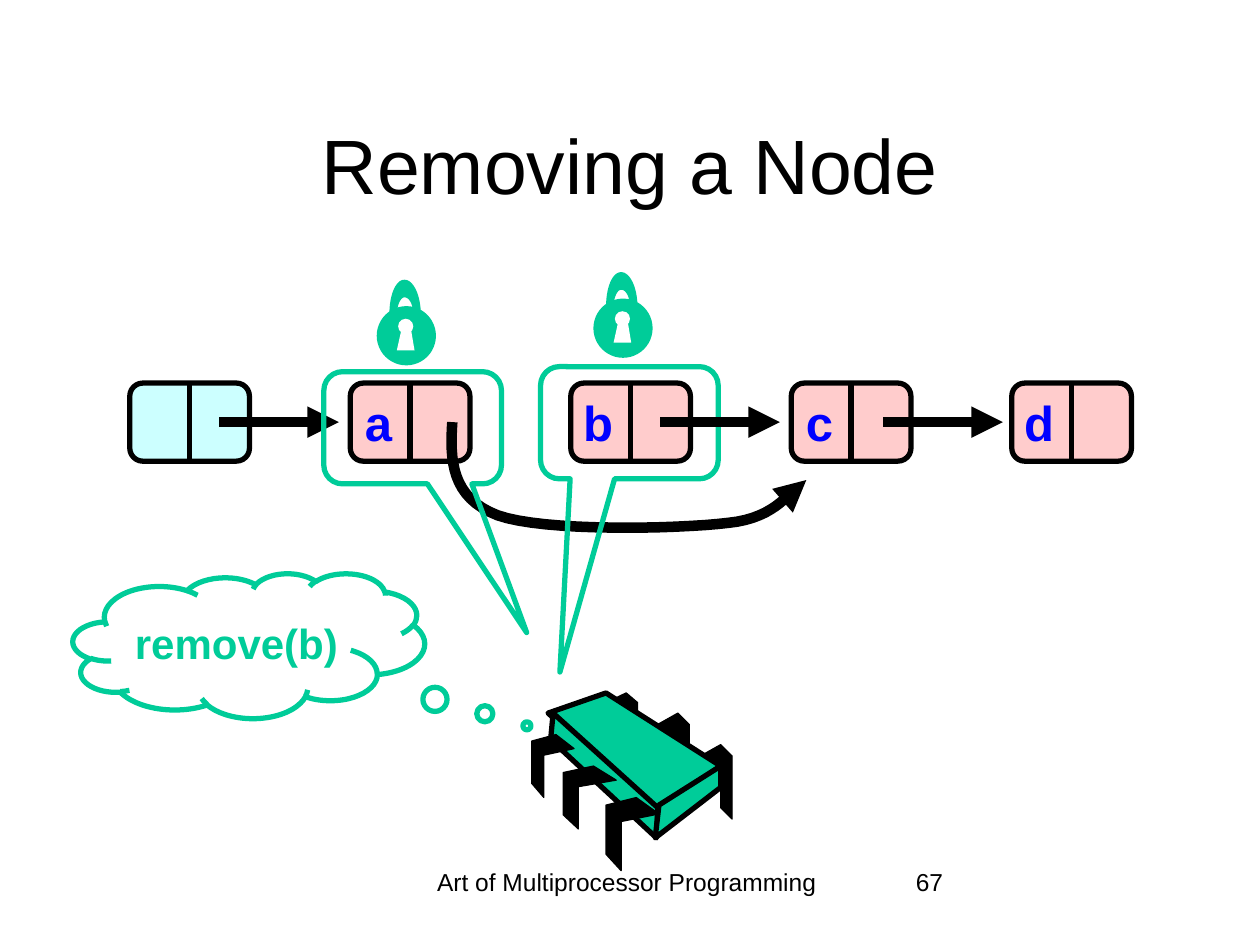
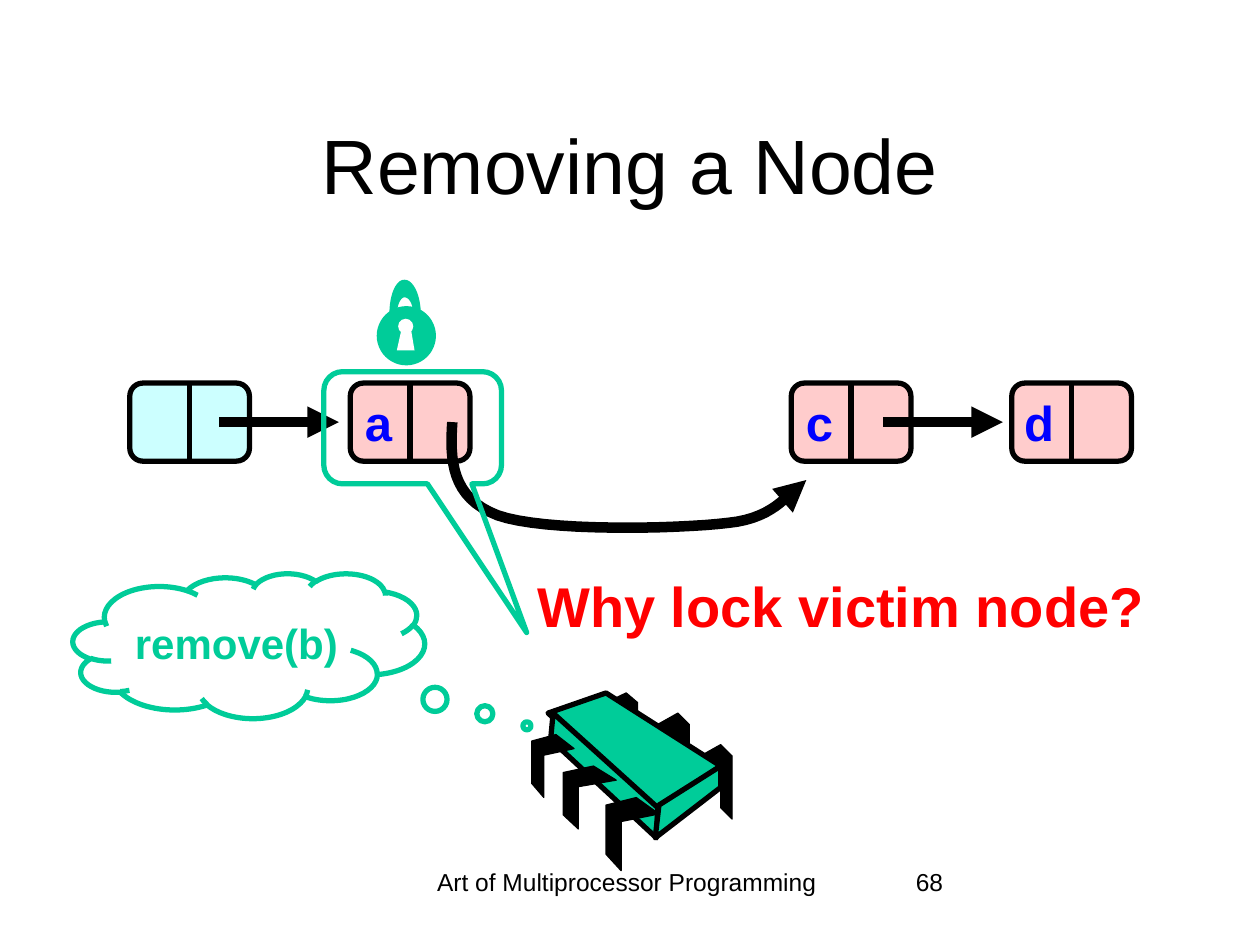
"""Build two slides on removing a node from a lock-coupled linked list."""
import dataclasses
import typing

import lxml.etree
import pptx
import pptx.dml.color
import pptx.enum.shapes
import pptx.enum.text
import pptx.oxml.ns
import pptx.shapes.autoshape
import pptx.shapes.connector
import pptx.shapes.shapetree
import pptx.slide
import pptx.util

Inches = pptx.util.Inches
Preset = pptx.enum.shapes.MSO_SHAPE
Align = pptx.enum.text.PP_ALIGN
Anchor = pptx.enum.text.MSO_ANCHOR
AutoSize = pptx.enum.text.MSO_AUTO_SIZE
Point = tuple[float, float]
Shapes = pptx.shapes.shapetree.SlideShapes | pptx.shapes.shapetree.GroupShapes
Outlined = pptx.shapes.autoshape.Shape | pptx.shapes.connector.Connector

BLACK, WHITE, GREEN = "000000", "FFFFFF", "00CC99"
CYAN, PINK, BLUE, RED = "CCFFFF", "FFCCCC", "0000FF", "FF0000"
FONT = "Arial"
TITLE = "Removing a Node"
FOOTER = "Art of Multiprocessor Programming"

NODE_LEFT, NODE_STEP, NODE_TOP = 1.03, 1.75, 3.04
NODE_WIDTH, NODE_HEIGHT = 0.95, 0.62
ARROW_Y, ARROW_LENGTH = 3.35, 0.95
CORNER = 0.167

BYPASS = [(3.59, 3.35), (3.57, 3.65), (3.58, 3.95), (3.95, 4.09), (4.31, 4.22),
          (5.37, 4.2), (5.78, 4.15), (6.18, 4.11), (6.27, 3.88), (6.4, 3.81)]

KEYHOLE = [(0.16, 0.35), (0.2, 0.17), (0.27, 0.17), (0.3, 0.35)]
SHACKLE_INSIDE = [(0.16, 0.07), (0.16, -0.01), (0.19, -0.07), (0.22, -0.07),
                  (0.26, -0.07), (0.29, -0.01), (0.29, 0.07)]
SHACKLE_OUTSIDE = [(0.35, 0.07), (0.35, -0.09), (0.29, -0.21), (0.22, -0.21),
                   (0.15, -0.21), (0.1, -0.09), (0.1, 0.07)]

BACK_LEG = [(0, 0.09), (0.16, 0), (0.25, 0.09), (0.25, 0.59),
            (0.16, 0.5), (0.16, 0.17), (0, 0.25)]
FRONT_LEG = [(0.24, 0), (0.42, 0.13), (0.12, 0.19), (0.12, 0.58), (0, 0.45), (0, 0.06)]
CHIP_FACES = [
    [(4.81, 5.5), (5.72, 6.08), (5.21, 6.43), (4.35, 5.66)],
    [(4.39, 5.66), (5.22, 6.41), (5.21, 6.65), (4.37, 5.87)],
    [(5.72, 6.08), (5.72, 6.25), (5.2, 6.65), (5.23, 6.39)],
]


@dataclasses.dataclass(frozen=True)
class Box:
    """Position and size in inches."""
    left: float
    top: float
    width: float
    height: float

    def lengths(self) -> list[pptx.util.Length]:
        """Return the four values as lengths."""
        return [Inches(value) for value in dataclasses.astuple(self)]


@dataclasses.dataclass(frozen=True)
class Node:
    """A list node in a numbered column, with the start of its next arrow."""
    column: int
    label: str = ""
    fill: str = PINK
    arrow_start: float | None = None

    @property
    def left(self) -> float:
        """Return the left edge of the column."""
        return NODE_LEFT + NODE_STEP * self.column


@dataclasses.dataclass(frozen=True)
class Lock:
    """A padlock and the callout that ties it to its holder."""
    callout: Box
    tail: Point
    left: float
    top: float


@dataclasses.dataclass(frozen=True)
class Leg:
    """A chip leg drawn from a scaled outline."""
    outline: list[Point]
    left: float
    top: float
    scale: Point = (1, 1)


@dataclasses.dataclass(frozen=True)
class Scene:
    """What differs from one slide to the next."""
    number: str
    nodes: list[Node]
    locks: list[Lock]
    question: str = ""


HEAD = Node(0, fill=CYAN, arrow_start=1.74)
NODE_A = Node(1, "a")
NODE_B = Node(2, "b", arrow_start=5.24)
NODE_C = Node(3, "c", arrow_start=7.01)
NODE_D = Node(4, "d")
LOCK_A = Lock(Box(2.57, 2.95, 1.41, 0.89), (0.642, 1.826), 2.99, 2.43)
LOCK_B = Lock(Box(4.29, 2.91, 1.41, 0.89), (-0.391, 2.223), 4.71, 2.37)
BACK_LEGS = [Leg(BACK_LEG, 5.56, 5.91), Leg(BACK_LEG, 5.22, 5.66),
             Leg(BACK_LEG, 4.81, 5.5, (1, 0.85))]
FRONT_LEGS = [Leg(FRONT_LEG, 4.81, 6.33), Leg(FRONT_LEG, 4.47, 6.08, (1, 0.86)),
              Leg(FRONT_LEG, 4.22, 5.83, (0.8, 0.86))]
SCENES = [
    Scene("67", [HEAD, NODE_A, NODE_B, NODE_C, NODE_D], [LOCK_B, LOCK_A]),
    Scene("68", [HEAD, NODE_A, NODE_C, NODE_D], [LOCK_A], "Why lock victim node?"),
]


def color(value: str) -> pptx.dml.color.RGBColor:
    """Turn a hex string into a colour."""
    return pptx.dml.color.RGBColor.from_string(value)


def apply_format(target: typing.Any, values: dict[str, typing.Any]) -> None:
    """Set each named attribute on the target."""
    for name, value in values.items():
        setattr(target, name, value)


def set_line(shape: Outlined, line_color: str, width: float, arrow: bool = False) -> None:
    """Outline a shape, with an arrowhead at its end if asked."""
    shape.line.color.rgb = color(line_color)
    shape.line.width = pptx.util.Pt(width)
    if arrow:
        line = shape.element.spPr.find(pptx.oxml.ns.qn("a:ln"))
        lxml.etree.SubElement(line, pptx.oxml.ns.qn("a:tailEnd"), type="triangle")


def paint(shape: pptx.shapes.autoshape.Shape, fill: str | None,
          line_color: str | None = None, width: float = 3, arrow: bool = False) -> None:
    """Give a shape its fill and line and take away its shadow."""
    shape.shadow.inherit = False
    if fill:
        shape.fill.solid()
        shape.fill.fore_color.rgb = color(fill)
    else:
        shape.fill.background()
    if line_color:
        set_line(shape, line_color, width, arrow)
    else:
        shape.line.fill.background()


def write(shape: pptx.shapes.autoshape.Shape, text: str, size: float, text_color: str = BLACK,
          align: Align = Align.CENTER, bold: bool = False, **frame_format: typing.Any) -> None:
    """Write one formatted paragraph into a shape."""
    apply_format(shape.text_frame, {"word_wrap": True, **frame_format})
    paragraph = shape.text_frame.paragraphs[0]
    paragraph.alignment = align
    run = paragraph.add_run()
    run.text = text
    apply_format(run.font, {"name": FONT, "size": pptx.util.Pt(size), "bold": bold})
    run.font.color.rgb = color(text_color)


def add_preset(shapes: Shapes, preset: Preset, box: Box, fill: str | None,
               line_color: str | None = None,
               adjustments: tuple[float, ...] = ()) -> pptx.shapes.autoshape.Shape:
    """Add a painted preset shape."""
    shape = shapes.add_shape(preset, *box.lengths())
    for index, value in enumerate(adjustments):
        shape.adjustments[index] = value
    paint(shape, fill, line_color)
    return shape


def add_outline(shapes: Shapes, points: list[Point],
                closed: bool = True) -> pptx.shapes.autoshape.Shape:
    """Add a freeform through points given in inches."""
    start, *rest = [(Inches(x), Inches(y)) for x, y in points]
    builder = shapes.build_freeform(*start)
    builder.add_line_segments(rest, close=closed)
    return builder.convert_to_shape()


def add_line(shapes: Shapes, start: Point, end: Point, width: float,
             arrow: bool = False) -> pptx.shapes.connector.Connector:
    """Add a straight black connector without a shadow."""
    ends = [Inches(value) for value in (*start, *end)]
    connector = shapes.add_connector(pptx.enum.shapes.MSO_CONNECTOR.STRAIGHT, *ends)
    set_line(connector, BLACK, width, arrow)
    lxml.etree.SubElement(connector.element.spPr, pptx.oxml.ns.qn("a:effectLst"))
    return connector


def trace_curve(controls: list[Point], steps: int = 16) -> list[Point]:
    """Sample a chain of cubic curves that share their end points."""
    points = [controls[0]]
    for first in range(0, len(controls) - 1, 3):
        section = controls[first:first + 4]
        for step in range(1, steps + 1):
            t = step / steps
            weights = ((1 - t) ** 3, 3 * t * (1 - t) ** 2, 3 * t ** 2 * (1 - t), t ** 3)
            x, y = (sum(w * point[axis] for w, point in zip(weights, section))
                    for axis in (0, 1))
            points.append((x, y))
    return points


def place(points: list[Point], left: float, top: float, scale: Point = (1, 1)) -> list[Point]:
    """Scale an outline and move it to its place."""
    return [(left + x * scale[0], top + y * scale[1]) for x, y in points]


def draw_node(slide: pptx.slide.Slide, node: Node) -> None:
    """Draw a two-field node with its label."""
    shapes = slide.shapes.add_group_shape().shapes
    body = add_preset(shapes, Preset.ROUNDED_RECTANGLE,
                      Box(node.left, NODE_TOP, NODE_WIDTH, NODE_HEIGHT), node.fill, BLACK, (CORNER,))
    middle = node.left + NODE_WIDTH / 2
    divider = add_line(shapes, (middle, NODE_TOP), (middle, NODE_TOP + NODE_HEIGHT), 3)
    divider.begin_connect(body, 0)
    divider.end_connect(body, 2)
    if node.label:
        label = shapes.add_textbox(*Box(node.left, 3.07, 0.43, 0.57).lengths())
        write(label, node.label, 28, BLUE, Align.RIGHT, True,
              word_wrap=False, auto_size=AutoSize.SHAPE_TO_FIT_TEXT)


def draw_next_arrow(slide: pptx.slide.Slide, node: Node) -> None:
    """Draw the arrow to the next node, if the node has one."""
    if node.arrow_start is not None:
        add_line(slide.shapes, (node.arrow_start, ARROW_Y),
                 (node.arrow_start + ARROW_LENGTH, ARROW_Y), 6, arrow=True)


def draw_chip(slide: pptx.slide.Slide) -> None:
    """Draw the processor chip between its back and front legs."""
    shapes = slide.shapes.add_group_shape().shapes

    def draw_legs(legs: list[Leg]) -> None:
        """Draw a row of legs."""
        for leg in legs:
            outline = place(leg.outline, leg.left, leg.top, leg.scale)
            paint(add_outline(shapes, outline), BLACK, BLACK, 0.75)

    draw_legs(BACK_LEGS)
    for face in CHIP_FACES:
        paint(add_outline(shapes, face), GREEN, BLACK)
    draw_legs(FRONT_LEGS)


def draw_padlock(slide: pptx.slide.Slide, lock: Lock) -> None:
    """Draw a padlock with its keyhole and shackle."""
    shapes = slide.shapes.add_group_shape().shapes
    add_preset(shapes, Preset.OVAL, Box(lock.left, lock.top, 0.47, 0.47), GREEN)
    add_preset(shapes, Preset.OVAL, Box(lock.left + 0.17, lock.top + 0.1, 0.12, 0.12), WHITE)
    shackle = trace_curve(SHACKLE_INSIDE) + trace_curve(SHACKLE_OUTSIDE)
    for outline, fill in ((KEYHOLE, WHITE), (shackle, GREEN)):
        paint(add_outline(shapes, place(outline, lock.left, lock.top)), fill)


def draw_frame(slide: pptx.slide.Slide, number: str) -> None:
    """Write the footer, the slide number and the title."""
    shapes = slide.shapes
    write(shapes.add_textbox(*Box(3.1, 6.83, 3.75, 0.5).lengths()), FOOTER, 14)
    write(shapes.add_textbox(*Box(7.17, 6.83, 2.08, 0.5).lengths()), number, 14, align=Align.LEFT)
    write(shapes.add_textbox(*Box(0.75, 0.67, 8.5, 1.25).lengths()), TITLE, 44,
          vertical_anchor=Anchor.MIDDLE)


def draw_scene(slide: pptx.slide.Slide, scene: Scene) -> None:
    """Draw one whole slide from back to front."""
    draw_frame(slide, scene.number)
    for node in scene.nodes:
        draw_node(slide, node)
    head, *others = scene.nodes
    draw_next_arrow(slide, head)
    bypass = add_outline(slide.shapes, trace_curve(BYPASS), closed=False)
    paint(bypass, None, BLACK, 6, arrow=True)
    draw_chip(slide)
    for lock in scene.locks:
        add_preset(slide.shapes, Preset.ROUNDED_RECTANGULAR_CALLOUT, lock.callout,
                   None, GREEN, (*lock.tail, CORNER))
    for node in others:
        draw_next_arrow(slide, node)
    cloud = add_preset(slide.shapes, Preset.CLOUD_CALLOUT, Box(0.58, 4.55, 2.79, 1.15),
                       None, GREEN, (0.791, 0.553))
    write(cloud, "remove(b)", 24, GREEN, bold=True, vertical_anchor=Anchor.MIDDLE)
    for lock in scene.locks:
        draw_padlock(slide, lock)
    if scene.question:
        question = slide.shapes.add_textbox(*Box(3.85, 4.49, 5.65, 0.63).lengths())
        write(question, scene.question, 32, RED, bold=True, auto_size=AutoSize.SHAPE_TO_FIT_TEXT)


def main() -> None:
    """Build and save the presentation."""
    presentation = pptx.Presentation()
    apply_format(presentation, {"slide_width": Inches(10), "slide_height": Inches(7.5)})
    for scene in SCENES:
        draw_scene(presentation.slides.add_slide(presentation.slide_layouts[6]), scene)
    presentation.save("out.pptx")


if __name__ == "__main__":
    main()
